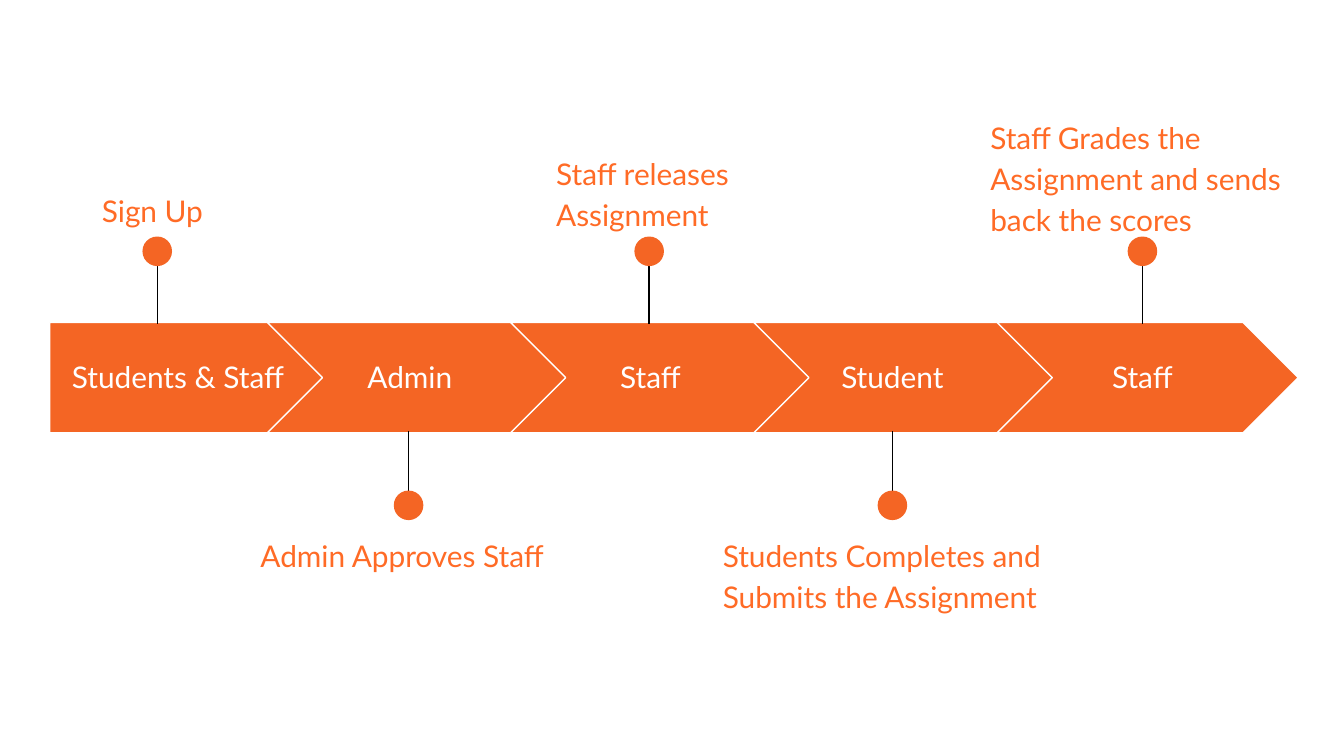
from pptx import Presentation
from pptx.dml.color import RGBColor
from pptx.enum.shapes import MSO_CONNECTOR, MSO_SHAPE
from pptx.enum.text import MSO_ANCHOR, PP_ALIGN
from pptx.oxml.ns import qn
from pptx.util import Inches, Pt
from lxml import etree

PENTAGON, CHEVRON, OVAL = MSO_SHAPE.PENTAGON, MSO_SHAPE.CHEVRON, MSO_SHAPE.OVAL
STRAIGHT = MSO_CONNECTOR.STRAIGHT
TOP, MIDDLE = MSO_ANCHOR.TOP, MSO_ANCHOR.MIDDLE
LEFT, CENTER = PP_ALIGN.LEFT, PP_ALIGN.CENTER

# Content: who acts, (left, width) of that name, pin centre,
# what happens, (left, top, width, height) of that note
STAGES = [
    ("Students & Staff", (0.36, 1.93), 1.17,
     "Sign Up", (0.66, 1.29, 1.01, 0.45)),
    ("Admin", (2.33, 1.44), 3.04,
     "Admin Approves Staff", (1.84, 3.86, 2.4, 0.48)),
    ("Staff", (4.12, 1.44), 4.83,
     "Staff releases Assignment", (4.04, 1.02, 1.6, 0.74)),
    ("Student", (5.92, 1.44), 6.64,
     "Students Completes and Submits the Assignment", (5.28, 3.86, 2.71, 0.99)),
    ("Staff", (7.78, 1.44), 8.5,
     "Staff Grades the Assignment and sends back the scores",
     (7.27, 0.75, 2.45, 0.99)),
]

THEME = {
    "font": "Lato", "size": Pt(16), "line": Pt(0.75),
    "arrow": RGBColor(0xF4, 0x65, 0x24), "note": RGBColor(0xFF, 0x6B, 0x26),
    "white": RGBColor(0xFF, 0xFF, 0xFF), "pin": RGBColor(0, 0, 0),
}

# Geometry in inches
PAGE_WIDTH = 10
PAGE_HEIGHT = PAGE_WIDTH * 9 / 16
ARROW_TOP, ARROW_HEIGHT = 2.4, 0.82
FIRST_LEFT, FIRST_WIDTH = 0.37, 2.05
CHEVRON_LEFT, CHEVRON_WIDTH, CHEVRON_STEP = 1.99, 2.24, 1.81
NAME_TOP, NAME_HEIGHT = 2.55, 0.51
DOT = 0.22
PIN_ABOVE = (1.8, 2.41, 1.76)  # line start, line end, dot top
PIN_BELOW = (3.82, 3.21, 3.65)


def add_shape(page, kind, left, top, width, height, outline=None):
    shape = page.shapes.add_shape(
        kind, Inches(left), Inches(top), Inches(width), Inches(height))
    shape.shadow.inherit = False
    shape.fill.solid()
    shape.fill.fore_color.rgb = THEME["arrow"]
    if outline is None:
        shape.line.fill.background()
    else:
        shape.line.color.rgb = outline
        shape.line.width = THEME["line"]
    return shape


def add_text(page, text, place, color, align, anchor):
    box = page.shapes.add_textbox(*(Inches(value) for value in place))
    frame = box.text_frame
    frame.word_wrap = True
    frame.vertical_anchor = anchor
    frame.margin_left = frame.margin_right = Inches(0.1)
    frame.margin_top = frame.margin_bottom = Inches(0.1)
    frame.text = text
    para = frame.paragraphs[0]
    para.alignment = align
    font = para.runs[0].font
    font.name, font.size, font.color.rgb = THEME["font"], THEME["size"], color
    return para


def add_pin(page, center, start, end, dot_top):
    line = page.shapes.add_connector(
        STRAIGHT, Inches(center), Inches(start), Inches(center), Inches(end))
    line.line.color.rgb = THEME["pin"]
    line.line.width = THEME["line"]
    etree.SubElement(line._element.spPr, qn("a:effectLst"))
    add_shape(page, OVAL, center - DOT / 2, dot_top, DOT, DOT)


def add_stage(page, index, name, name_span, center, note, note_place):
    # Arrow segment
    if index == 0:
        kind, left, width = PENTAGON, FIRST_LEFT, FIRST_WIDTH
    else:
        kind, width = CHEVRON, CHEVRON_WIDTH
        left = CHEVRON_LEFT + (index - 1) * CHEVRON_STEP
    arrow = add_shape(page, kind, left, ARROW_TOP, width, ARROW_HEIGHT,
                      THEME["white"])
    arrow.adjustments[0] = 0.5
    name_left, name_width = name_span
    add_text(page, name, (name_left, NAME_TOP, name_width, NAME_HEIGHT),
             THEME["white"], CENTER, MIDDLE)

    # Pin and note, alternately above and below
    add_pin(page, center, *(PIN_BELOW if index % 2 else PIN_ABOVE))
    para = add_text(page, note, note_place, THEME["note"], LEFT, TOP)
    para.line_spacing = 1.15
    para.space_after = Pt(16)


def main():
    deck = Presentation()
    deck.slide_width, deck.slide_height = Inches(PAGE_WIDTH), Inches(PAGE_HEIGHT)
    page = deck.slides.add_slide(deck.slide_layouts[6])
    for index, stage in enumerate(STAGES):
        add_stage(page, index, *stage)
    deck.save("out.pptx")


if __name__ == "__main__":
    main()
